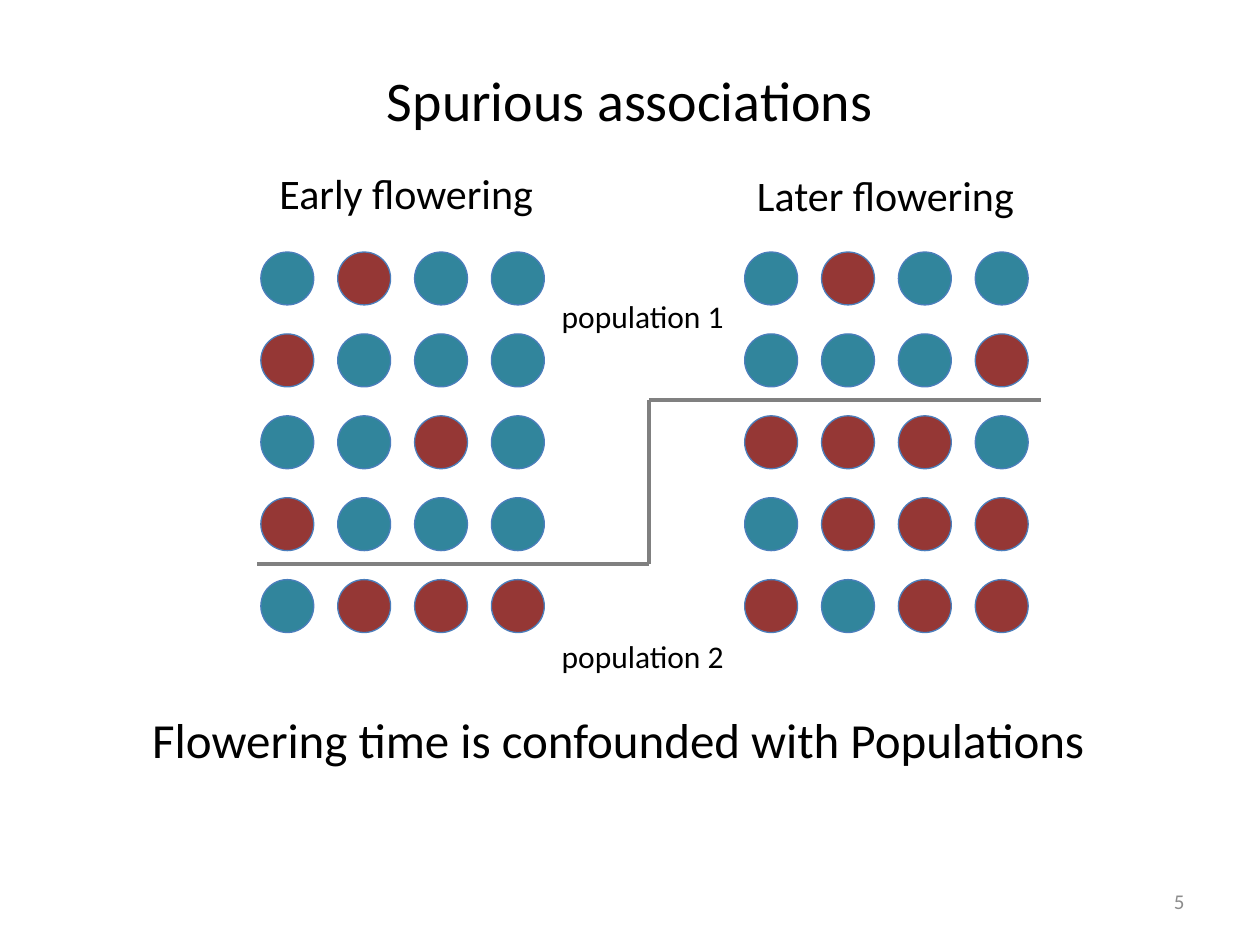
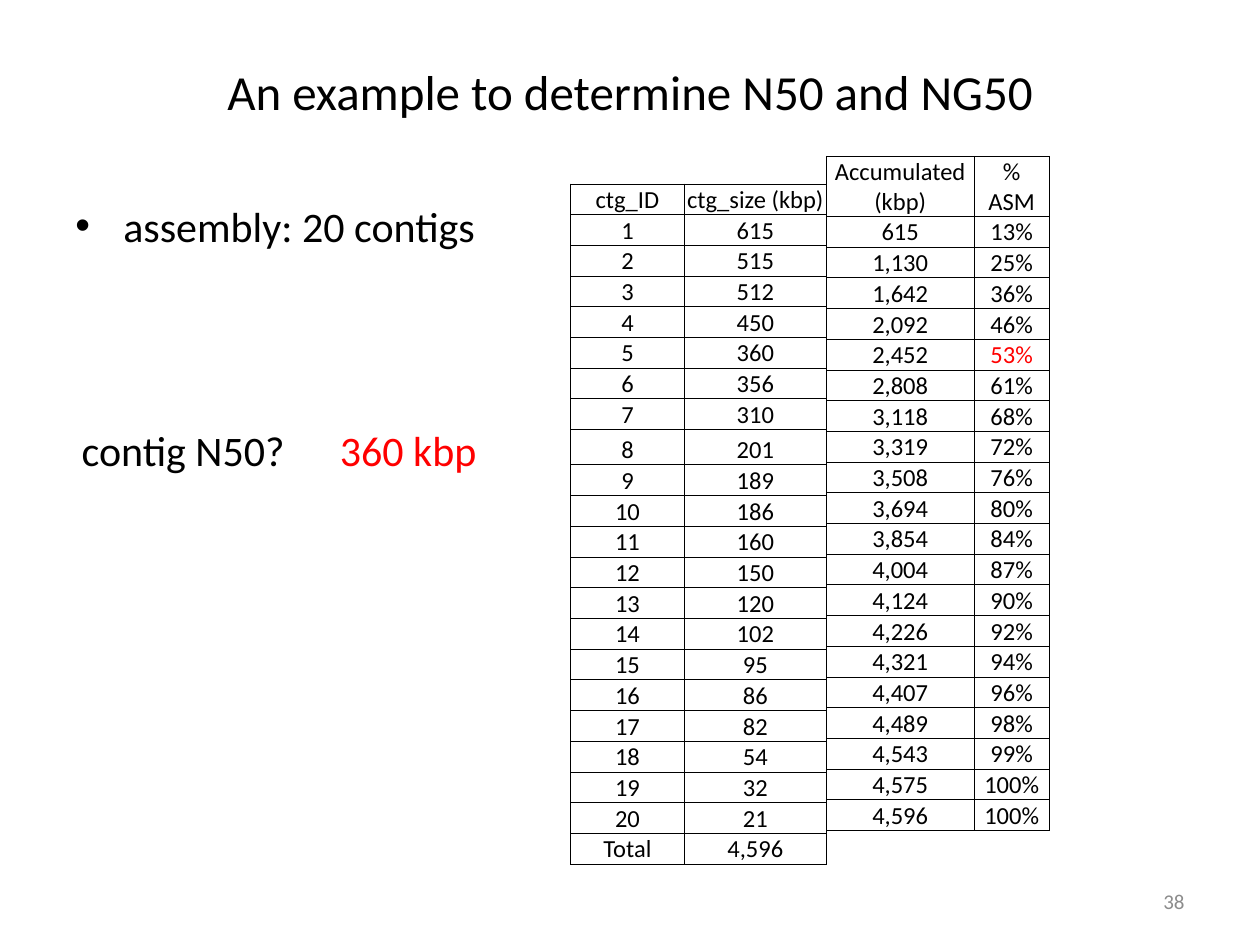
from dataclasses import dataclass
from itertools import accumulate, pairwise

from lxml.etree import SubElement
from pptx import Presentation
from pptx.dml.color import RGBColor as Rgb
from pptx.enum.shapes import MSO_CONNECTOR as Connector, MSO_SHAPE as Shape
from pptx.enum.text import MSO_ANCHOR as Anchor, MSO_AUTO_SIZE as AutoSize, PP_ALIGN as Align
from pptx.oxml.ns import qn
from pptx.util import Inches, Pt


@dataclass(frozen=True)
class Theme:
    """Colours and type sizes shared by the slides."""
    font: str = "Calibri"
    ink: str = "000000"
    answer: str = "FF0000"
    muted: str = "8C8C8C"
    divider: str = "808080"
    teal: str = "31859C"
    red: str = "953735"
    outline: str = "4B7EBC"
    title: int = 32
    statement: int = 28
    body: int = 24
    label: int = 18
    cell: int = 14
    footer: int = 12


THEME = Theme()
COLUMNS, ROWS = 100, 75
TITLE_ONLY = 5
PLANT_SIZE, PLANT_COLUMN, PLANT_ROW = 4.2, 6.1, 6.5
PLANT_COLOURS = {"T": THEME.teal, "R": THEME.red}
EARLY_PLANTS = ["TRTT", "RTTT", "TTRT", "RTTT", "TRRR"]
LATER_PLANTS = ["TRTT", "TTTR", "RRRT", "TRRR", "RTRR"]
CONTIG_SIZES = [615, 515, 512, 450, 360, 356, 310, 201, 189, 186,
                160, 150, 120, 102, 95, 86, 82, 54, 32, 21]
CELL_ROW, TALL_ROW, TALL_ROW_INDEX = 2.1, 2.8, 8


def grid(*units):
    """Turn grid columns or rows, ten to the inch, into lengths."""
    return [Inches(unit / 10) for unit in units]


def apply(target, formats):
    """Set each named attribute of the target."""
    for name, value in formats.items():
        setattr(target, name, value)


def style_text(paragraph, size, colour=THEME.ink, **formats):
    """Give a paragraph its font and paragraph formats."""
    apply(paragraph, formats)
    apply(paragraph.font, {"name": THEME.font, "size": Pt(size), "bold": False})
    paragraph.font.color.rgb = Rgb.from_string(colour)


def add_titled_slide(deck, heading, size, height, number):
    """Add a slide with its title and page number."""
    slide = deck.slides.add_slide(deck.slide_layouts[TITLE_ONLY])
    title = slide.shapes.title
    left, top, width, tall = grid(5, 3, 90, height)
    apply(title, {"left": left, "top": top, "width": width, "height": tall})
    title.text_frame.text = heading
    apply(title.text_frame, {"auto_size": AutoSize.NONE, "vertical_anchor": Anchor.MIDDLE})
    style_text(title.text_frame.paragraphs[0], size, alignment=Align.CENTER)
    page = add_text(slide, str(number), (71.7, 69.5, 23.3, 4), THEME.footer,
                    THEME.muted, wrap=True, alignment=Align.RIGHT)
    page.vertical_anchor = Anchor.MIDDLE
    return slide


def add_text(slide, wording, box, size, colour=THEME.ink, wrap=False, bullet=False, **formats):
    """Add a text box on the grid and return its text frame."""
    frame = slide.shapes.add_textbox(*grid(*box)).text_frame
    frame.word_wrap = wrap
    paragraph = frame.paragraphs[0]
    paragraph.text = wording
    if bullet:
        add_bullet(paragraph)
    style_text(paragraph, size, colour, **formats)
    return frame


def add_bullet(paragraph):
    """Give a paragraph a hanging bullet."""
    properties = paragraph._p.get_or_add_pPr()
    indent = Inches(0.38)
    properties.set("marL", str(indent))
    properties.set("indent", str(-indent))
    SubElement(properties, qn("a:buFont"), typeface="Arial")
    SubElement(properties, qn("a:buChar"), char="•")


def add_plants(slide, plants, left, top):
    """Draw a field of plants, one circle per letter."""
    for row, letters in enumerate(plants):
        for column, letter in enumerate(letters):
            plant = slide.shapes.add_shape(Shape.OVAL, *grid(
                left + column * PLANT_COLUMN, top + row * PLANT_ROW, PLANT_SIZE, PLANT_SIZE))
            plant.shadow.inherit = False
            plant.fill.solid()
            plant.fill.fore_color.rgb = Rgb.from_string(PLANT_COLOURS[letter])
            plant.line.color.rgb = Rgb.from_string(THEME.outline)
            plant.line.width = Pt(0.75)


def add_divider(slide, corners):
    """Draw straight lines from corner to corner."""
    for start, end in pairwise(corners):
        divider = slide.shapes.add_connector(Connector.STRAIGHT, *grid(*start, *end))
        divider.line.color.rgb = Rgb.from_string(THEME.divider)
        divider.line.width = Pt(2)
        SubElement(divider._element.spPr, qn("a:effectLst"))


def add_borders(cell):
    """Draw a thin line on all four sides of a cell."""
    properties = cell._tc.get_or_add_tcPr()
    for side in ("a:lnL", "a:lnR", "a:lnT", "a:lnB"):
        line = SubElement(properties, qn(side), w=str(Pt(0.5)))
        SubElement(SubElement(line, qn("a:solidFill")), qn("a:srgbClr"), val=THEME.ink)


def fill_cell(cell, wording, colour):
    """Write one centred table cell."""
    cell.text = wording
    margin = Inches(0.01)
    apply(cell, {"vertical_anchor": Anchor.BOTTOM, "margin_left": margin,
                 "margin_right": margin, "margin_top": margin, "margin_bottom": 0})
    add_borders(cell)
    cell.fill.background()
    for paragraph in cell.text_frame.paragraphs:
        style_text(paragraph, THEME.cell, colour, alignment=Align.CENTER)


def add_contig_table(slide, records, left, top, widths, heights, answer=None):
    """Add a bordered table, with the answer's cell in its own colour."""
    table = slide.shapes.add_table(len(records), len(widths), *grid(
        left, top, sum(widths), sum(heights))).table
    apply(table, {"first_row": False, "horz_banding": False})
    for column, width in zip(table.columns, grid(*widths)):
        column.width = width
    for row, height in zip(table.rows, grid(*heights)):
        row.height = height
    for row, record in enumerate(records):
        for column, wording in enumerate(record):
            colour = THEME.answer if (row, column) == answer else THEME.ink
            fill_cell(table.cell(row, column), wording, colour)


def build_associations(deck):
    """Show flowering time against two populations."""
    slide = add_titled_slide(deck, "Spurious associations", THEME.title, 9.8, 5)
    add_text(slide, "Early flowering", (21.2, 12.8, 22.4, 5), THEME.body)
    add_text(slide, "Later flowering", (59.1, 13, 22.7, 5), THEME.body)
    add_text(slide, "Flowering time is confounded with Populations",
             (11.1, 55.8, 78.9, 5.7), THEME.statement, wrap=True)
    for plants, left in ((EARLY_PLANTS, 20.7), (LATER_PLANTS, 59.1)):
        add_plants(slide, plants, left, 20)
    add_divider(slide, [(20.4, 44.75), (51.5, 44.75), (51.5, 31.75), (82.6, 31.75)])
    for number, top in ((1, 23.1), (2, 50.1)):
        add_text(slide, f"population {number}", (43.6, top, 15, 4), THEME.label)


def build_n50(deck):
    """Work out N50 from the accumulated contig sizes."""
    slide = add_titled_slide(deck, "An example to determine N50 and NG50",
                             THEME.statement, 8.5, 38)
    add_text(slide, "assembly: 20 contigs", (5, 15.4, 37.5, 5), THEME.body,
             wrap=True, bullet=True)
    total = sum(CONTIG_SIZES)
    sums = list(accumulate(CONTIG_SIZES))
    half = next(index for index, reached in enumerate(sums) if reached >= total / 2)
    contigs = [("ctg_ID", "ctg_size (kbp)")]
    contigs += [(str(number), str(size)) for number, size in enumerate(CONTIG_SIZES, 1)]
    contigs.append(("Total", f"{total:,}"))
    shares = [("Accumulated (kbp)", "%\nASM")]
    shares += [(f"{reached:,}", f"{reached / total:.0%}") for reached in sums]
    heights = [TALL_ROW if row == TALL_ROW_INDEX else CELL_ROW for row in range(len(contigs))]
    add_contig_table(slide, contigs, 45.3, 14.6, (9, 11.3), heights)
    add_contig_table(slide, shares, 65.6, 12.4, (11.7, 6), [CELL_ROW] * len(shares),
                     answer=(half + 1, 1))
    add_text(slide, "contig N50?", (5.5, 31.2, 18.4, 6.7), THEME.body, line_spacing=1.5)
    add_text(slide, f"{CONTIG_SIZES[half]} kbp", (26, 31.2, 13, 6.7), THEME.body,
             THEME.answer, line_spacing=1.5)


def main():
    """Build and save the deck."""
    deck = Presentation()
    deck.slide_width, deck.slide_height = grid(COLUMNS, ROWS)
    build_associations(deck)
    build_n50(deck)
    deck.save("out.pptx")


if __name__ == "__main__":
    main()
